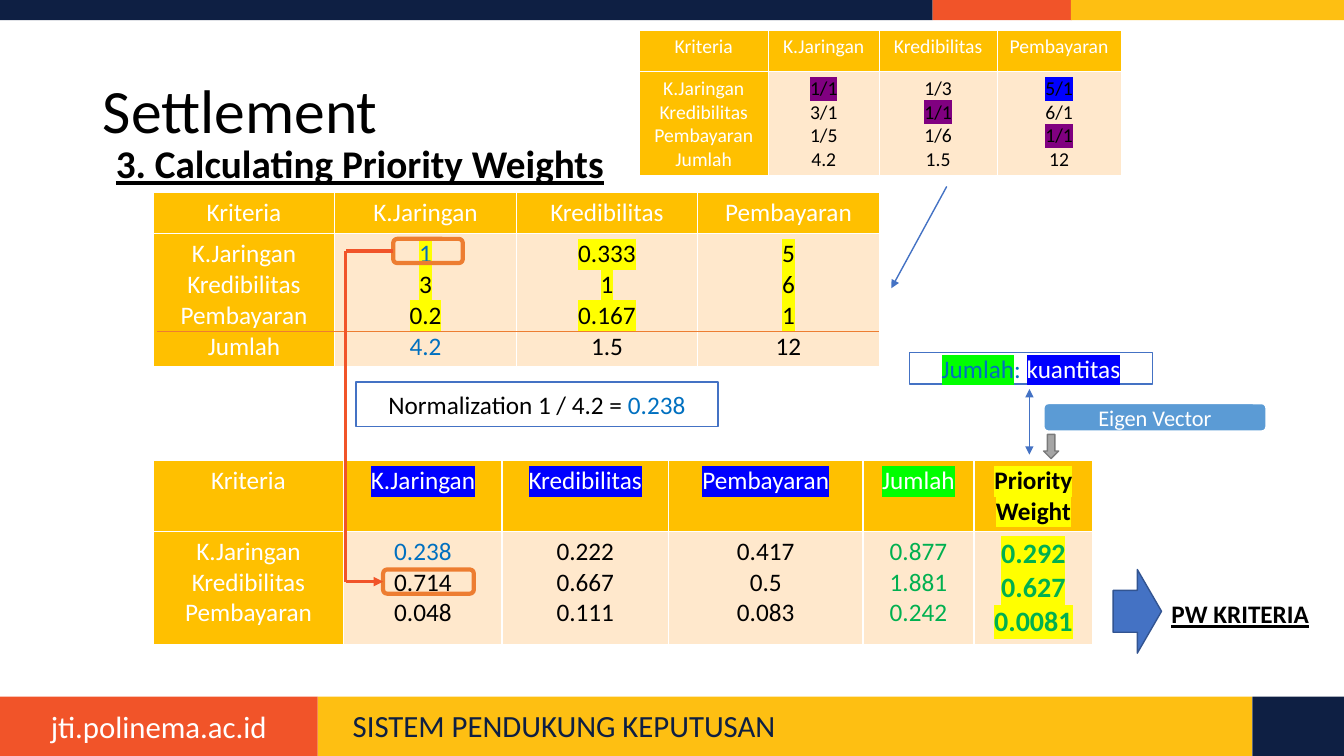
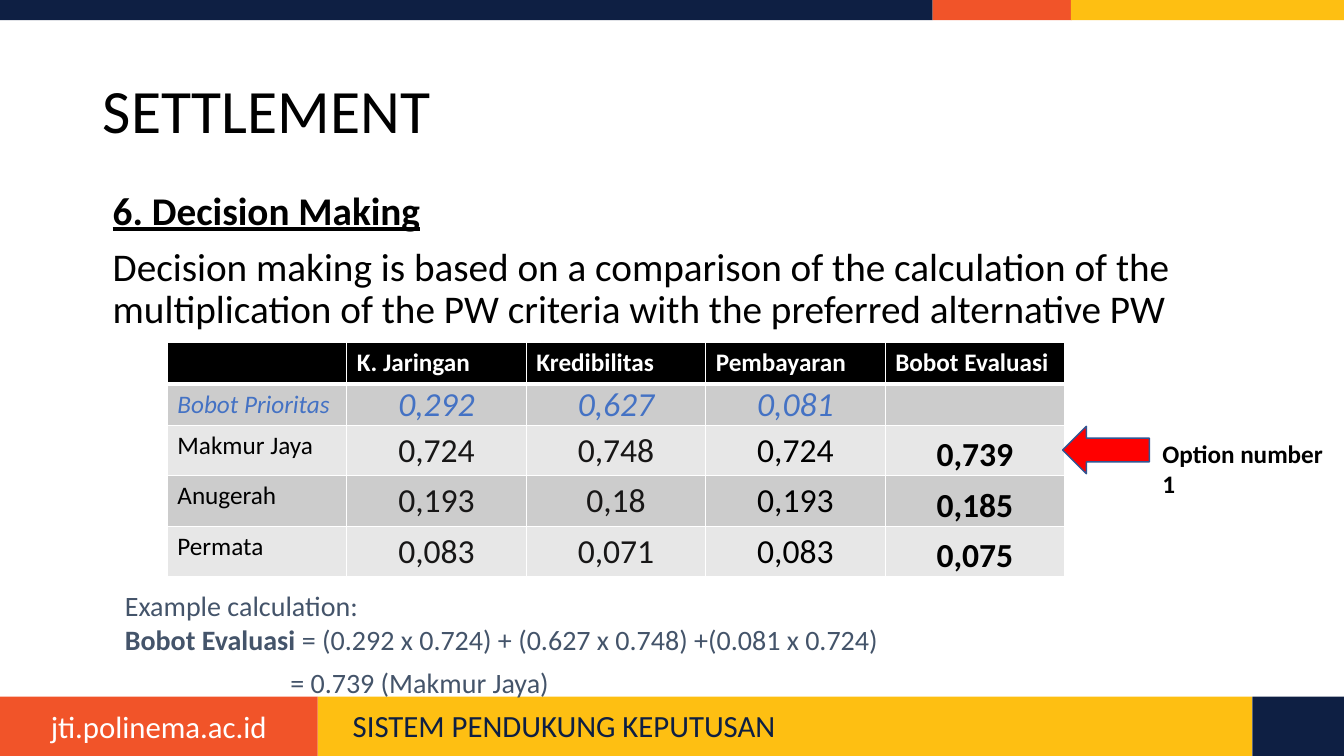
from dataclasses import dataclass, field
from lxml.etree import SubElement
from pptx import Presentation
from pptx.dml.color import RGBColor
from pptx.enum.shapes import MSO_CONNECTOR, MSO_SHAPE
from pptx.enum.text import MSO_ANCHOR, PP_ALIGN
from pptx.oxml import parse_xml
from pptx.oxml.ns import nsdecls, qn
from pptx.util import Inches, Pt

COLORS = {
    "navy": "0E1F43", "coral": "F15429", "amber": "FEBF12",
    "white": "FFFFFF", "black": "000000", "ink": "181717", "slate": "44546A",
    "gold": "FFC000", "cream": "FFE8CC", "dark_gray": "CCCCCC", "light_gray": "E7E7E7",
    "blue": "4472C4", "dark_blue": "325491", "sky": "5B9BD5", "text_blue": "0070C0",
    "orange": "ED7D31", "gray": "A5A5A5", "gray_edge": "7A7A7A", "red": "FF0000",
    "text_green": "00B050", "mark_yellow": "FFFF00", "mark_green": "00FF00",
    "mark_blue": "0000FF", "mark_purple": "800080",
}
LEFT, CENTER = PP_ALIGN.LEFT, PP_ALIGN.CENTER
TIGHT = (0.01, 0.01, 0.01, 0)


@dataclass
class Cell:
    paras: list
    fill: str
    style: dict = field(default_factory=dict)
    align: PP_ALIGN = CENTER
    anchor: MSO_ANCHOR = MSO_ANCHOR.TOP
    margins: tuple = (0.1, 0.05, 0.1, 0.05)


def run(text, **style):
    return [(text, style)]


class Deck:
    font = "Calibri"

    def __init__(self):
        self.prs = Presentation()
        self.prs.slide_width, self.prs.slide_height = Inches(13.33), Inches(7.5)
        self.s = None

    def rgb(self, name):
        return RGBColor.from_string(COLORS[name])

    def slide(self, title):
        self.s = self.prs.slides.add_slide(self.prs.slide_layouts[5])
        for x, w, color in [(0, 9.25, "navy"), (9.25, 1.38, "coral"), (10.62, 2.71, "amber")]:
            self.shape(MSO_SHAPE.RECTANGLE, x, 0, w, 0.2, color)
        for x, w, color in [(3.15, 9.27, "amber"), (0, 3.15, "coral"), (12.42, 0.91, "navy")]:
            self.shape(MSO_SHAPE.RECTANGLE, x, 6.91, w, 0.59, color)
        self.text(0, 6.97, 3.15, 0.47, ["jti.polinema.ac.id"], align=CENTER, size=22, color="white")
        self.text(3.4, 7, 8.74, 0.4, ["SISTEM PENDUKUNG KEPUTUSAN"], spacing=0.9, size=22, color="navy")
        sp = self.s.shapes.title
        sp.left, sp.top, sp.width, sp.height = (Inches(v) for v in (0.92, 0.4, 10.24, 1.45))
        sp.text_frame.vertical_anchor = MSO_ANCHOR.MIDDLE
        self.put_text(sp.text_frame, [title], spacing=0.9, size=44)

    def style(self, r, size=18, color="black", bold=False, italic=False, underline=False, mark=None):
        f = r.font
        f.size, f.bold, f.italic, f.underline = Pt(size), bold, italic, underline
        f.color.rgb = self.rgb(color)
        f.name = self.font
        if mark:
            xml = f'<a:highlight {nsdecls("a")}><a:srgbClr val="{COLORS[mark]}"/></a:highlight>'
            r._r.rPr.find(qn("a:solidFill")).addnext(parse_xml(xml))

    def put_text(self, tf, paras, align=LEFT, spacing=None, before=0, indents=(), **style):
        for i, para in enumerate(paras):
            p = tf.paragraphs[0] if i == 0 else tf.add_paragraph()
            p.alignment = align
            if spacing:
                p.line_spacing = spacing
            p.space_before = Pt(before if i else 0)
            if indents:
                pPr = p._p.get_or_add_pPr()
                pPr.set("marL", str(Inches(indents[i])))
                pPr.set("indent", "0")
            for text, own in run(para) if isinstance(para, str) else para:
                r = p.add_run()
                r.text = text
                self.style(r, **{**style, **own})

    def text(self, x, y, w, h, paras, wrap=True, **style):
        sp = self.s.shapes.add_textbox(Inches(x), Inches(y), Inches(w), Inches(h))
        sp.text_frame.word_wrap = wrap
        self.put_text(sp.text_frame, paras, **style)
        return sp

    def shape(self, kind, x, y, w, h, fill=None, line=None, width=1, paras=(), **style):
        sp = self.s.shapes.add_shape(kind, Inches(x), Inches(y), Inches(w), Inches(h))
        sp.shadow.inherit = False
        if fill:
            sp.fill.solid()
            sp.fill.fore_color.rgb = self.rgb(fill)
        else:
            sp.fill.background()
        if line:
            sp.line.color.rgb = self.rgb(line)
            sp.line.width = Pt(width)
        else:
            sp.line.fill.background()
        sp.text_frame.vertical_anchor = MSO_ANCHOR.MIDDLE
        self.put_text(sp.text_frame, paras, align=CENTER, **style)
        return sp

    def line(self, start, end, color, width, head=False, tail=False):
        cxn = self.s.shapes.add_connector(
            MSO_CONNECTOR.STRAIGHT, *(Inches(v) for v in (*start, *end)))
        cxn.line.color.rgb = self.rgb(color)
        cxn.line.width = Pt(width)
        spPr = cxn._element.spPr
        for tag, shown in (("a:headEnd", head), ("a:tailEnd", tail)):
            if shown:
                SubElement(spPr.find(qn("a:ln")), qn(tag)).set("type", "triangle")
        SubElement(spPr, qn("a:effectLst"))
        return cxn

    def borders(self, cell, **widths):
        tcPr = cell._tc.get_or_add_tcPr()
        for i, side in enumerate("LRTB"):
            w = Pt(widths.get(side, 1))
            tcPr.insert(i, parse_xml(
                f'<a:ln{side} {nsdecls("a")} w="{w}"><a:solidFill>'
                f'<a:srgbClr val="{COLORS["white"]}"/></a:solidFill></a:ln{side}>'))

    def table(self, x, y, cols, rows, cells, rule=1):
        frame = self.s.shapes.add_table(len(rows), len(cols), Inches(x), Inches(y),
                                        Inches(sum(cols)), Inches(sum(rows)))
        tbl = frame.table
        tbl.first_row = tbl.horz_banding = False
        for col, w in zip(tbl.columns, cols):
            col.width = Inches(w)
        for row, h in zip(tbl.rows, rows):
            row.height = Inches(h)
        for i, line in enumerate(cells):
            for j, data in enumerate(line):
                c = tbl.cell(i, j)
                c.fill.solid()
                c.fill.fore_color.rgb = self.rgb(data.fill)
                c.vertical_anchor = data.anchor
                c.margin_left, c.margin_top, c.margin_right, c.margin_bottom = (
                    Inches(v) for v in data.margins)
                self.borders(c, **({"B": rule} if i == 0 else {"T": rule} if i == 1 else {}))
                self.put_text(c.text_frame, data.paras, align=data.align, **data.style)

    def criteria_table(self, x, y, cols, rows, names, columns, size=18):
        label = {"size": size, "color": "white"}
        head = [Cell(["Kriteria"], "gold", label)]
        body = [Cell(names, "gold", label)]
        for title, values, style in columns:
            head.append(Cell([title], "gold", label))
            body.append(Cell(values, "cream", {"size": size, **style}))
        self.table(x, y, cols, rows, [head, body])


def priority_weights(d):
    d.slide("Settlement")
    d.text(0.93, 1.39, 9.59, 0.5, ["3. Calculating Priority Weights"], spacing=0.9,
           indents=[0.12], size=28, bold=True, underline=True)
    names = ["K.Jaringan", "Kredibilitas", "Pembayaran"]
    totals = names + ["Jumlah"]

    def marked(text, color):
        return run(text, mark=color)

    weights = [[run("0.238", color="text_blue"), "0.714", "0.048"],
               ["0.222", "0.667", "0.111"], ["0.417", "0.5", "0.083"]]
    columns = [(marked(n, "mark_blue"), v, {}) for n, v in zip(names, weights)]
    columns.append((marked("Jumlah", "mark_green"), ["0.877", "1.881", "0.242"],
                    {"color": "text_green"}))
    columns.append((run("Priority Weight", color="black", bold=True, mark="mark_yellow"),
                    ["0.292", "0.627", "0.0081"],
                    {"size": 20, "color": "text_green", "bold": True, "mark": "mark_yellow"}))
    d.criteria_table(1.52, 4.57, [1.89, 1.57, 1.65, 1.93, 1.1, 1.18], [0.7, 1.12], names, columns)

    decimals = [[run("1", color="text_blue", mark="mark_yellow"), "3", "0.2"],
                ["0.333", "1", "0.167"], ["5", "6", "1"]]
    sums = [run("4.2", color="text_blue"), "1.5", "12"]
    columns = [(n, [marked(v, "mark_yellow") if isinstance(v, str) else v for v in values] + [total], {})
               for n, values, total in zip(names, decimals, sums)]
    d.criteria_table(1.52, 1.91, [1.8] * 4, [0.41, 1.32], totals, columns)

    d.line((1.56, 3.29), (8.72, 3.29), "orange", 0.5)
    d.shape(MSO_SHAPE.RECTANGLE, 3.53, 3.79, 3.59, 0.44, "white", "blue",
            paras=[run("Normalization 1 / 4.2 = ") + run("0.238", color="text_blue")])
    d.line((10.21, 3.86), (10.21, 4.51), "blue", 0.5, head=True, tail=True)
    d.shape(MSO_SHAPE.RECTANGLE, 9.02, 3.5, 2.41, 0.31, "white", "blue", color="text_blue",
            paras=[marked("Jumlah", "mark_green") + run(": ")
                   + run("kuantitas", color="white", mark="mark_blue")])
    d.shape(MSO_SHAPE.ROUNDED_RECTANGLE, 10.35, 4, 2.21, 0.28, "sky", "white", 1.5,
            ["Eigen Vector"], size=16, color="white")
    d.shape(MSO_SHAPE.DOWN_ARROW, 10.35, 4.31, 0.15, 0.24, "gray", "gray_edge")
    d.shape(MSO_SHAPE.RIGHT_ARROW, 11.04, 5.65, 0.48, 0.83, "blue", "dark_blue")
    d.text(11.52, 5.89, 1.58, 0.4, ["PW KRITERIA"], wrap=False, bold=True, underline=True)

    source, target = (d.shape(MSO_SHAPE.ROUNDED_RECTANGLE, x, y, w, 0.24, None, "orange", 3)
                      for x, y, w in [(3.9, 2.37, 0.69), (3.8, 5.65, 0.9)])
    route = [(3.9, 2.49), (3.43, 2.49), (3.43, 5.77), (3.8, 5.77)]
    legs = [d.line(a, b, "coral", 2.25, tail=b == route[-1]) for a, b in zip(route, route[1:])]
    legs[0].begin_connect(source, 1)
    legs[-1].end_connect(target, 1)

    ratios = [["1/1", "3/1", "1/5", "4.2"], ["1/3", "1/1", "1/6", "1.5"], ["5/1", "6/1", "1/1", "12"]]
    marks = {"1/1": "mark_purple", "5/1": "mark_blue"}
    columns = [(n, [marked(v, marks.get(v)) for v in values], {}) for n, values in zip(names, ratios)]
    d.criteria_table(6.34, 0.3, [1.28, 1.1, 1.17, 1.23], [0.41, 1.03], totals, columns, size=14)
    d.line((9.39, 1.85), (8.84, 2.86), "blue", 1, tail=True)


def decision_making(d):
    d.slide("SETTLEMENT")
    d.text(0.9, 1.85, 11.5, 1.5, [
        run("6. Decision Making", bold=True, underline=True),
        "Decision making is based on a comparison of the calculation of the "
        "multiplication of the PW criteria with the preferred alternative PW",
    ], spacing=0.9, before=10, indents=[0.12, 0.12], size=28)
    sp = d.text(0.64, 5.79, 11.19, 1.2, [
        "Example calculation:",
        run("Bobot Evaluasi ", bold=True) + run("= (0.292 x 0.724) + (0.627 x 0.748) +(0.081 x 0.724)"),
        "= 0.739 (Makmur Jaya)",
    ], indents=[0.5, 0.5, 2.14], size=20, color="slate")
    sp.text_frame.paragraphs[2].space_before = Pt(6.8)

    heads = ["", "K. Jaringan", "Kredibilitas", "Pembayaran", "Bobot Evaluasi"]
    cells = [[Cell([h] if h else [], "black", {"color": "white", "bold": True}, LEFT) for h in heads]]
    priority = {"color": "blue", "italic": True}
    cells.append([Cell(["Bobot Prioritas"], "dark_gray", priority, LEFT)]
                 + [Cell([v], "dark_gray", {**priority, "size": 24}, CENTER, MSO_ANCHOR.MIDDLE, TIGHT)
                    for v in ["0,292", "0,627", "0,081"]]
                 + [Cell([], "dark_gray")])
    options = [("Makmur Jaya", "0,724", "0,748", "0,724", "0,739"),
               ("Anugerah", "0,193", "0,18", "0,193", "0,185"),
               ("Permata", "0,083", "0,071", "0,083", "0,075")]
    for i, (name, network, credit, payment, score) in enumerate(options):
        fill = "dark_gray" if i % 2 else "light_gray"
        cells.append([Cell([name], fill, align=LEFT)]
                     + [Cell([v], fill, {"size": 24, "color": "ink"}, CENTER, MSO_ANCHOR.MIDDLE, TIGHT)
                        for v in (network, credit)]
                     + [Cell([payment], fill, {"size": 24}),
                        Cell([score], fill, {"size": 24, "bold": True}, CENTER, MSO_ANCHOR.BOTTOM, TIGHT)])
    d.table(1.66, 3.4, [1.78] * 5, [0.41, 0.41, 0.5, 0.5, 0.5], cells, rule=3)
    d.shape(MSO_SHAPE.LEFT_ARROW, 10.54, 4.23, 0.86, 0.47, "red", "dark_blue")
    d.text(11.43, 4.3, 1.9, 0.4, ["Option number 1"], wrap=False, bold=True)


def main():
    d = Deck()
    priority_weights(d)
    decision_making(d)
    d.prs.save("out.pptx")


if __name__ == "__main__":
    main()
